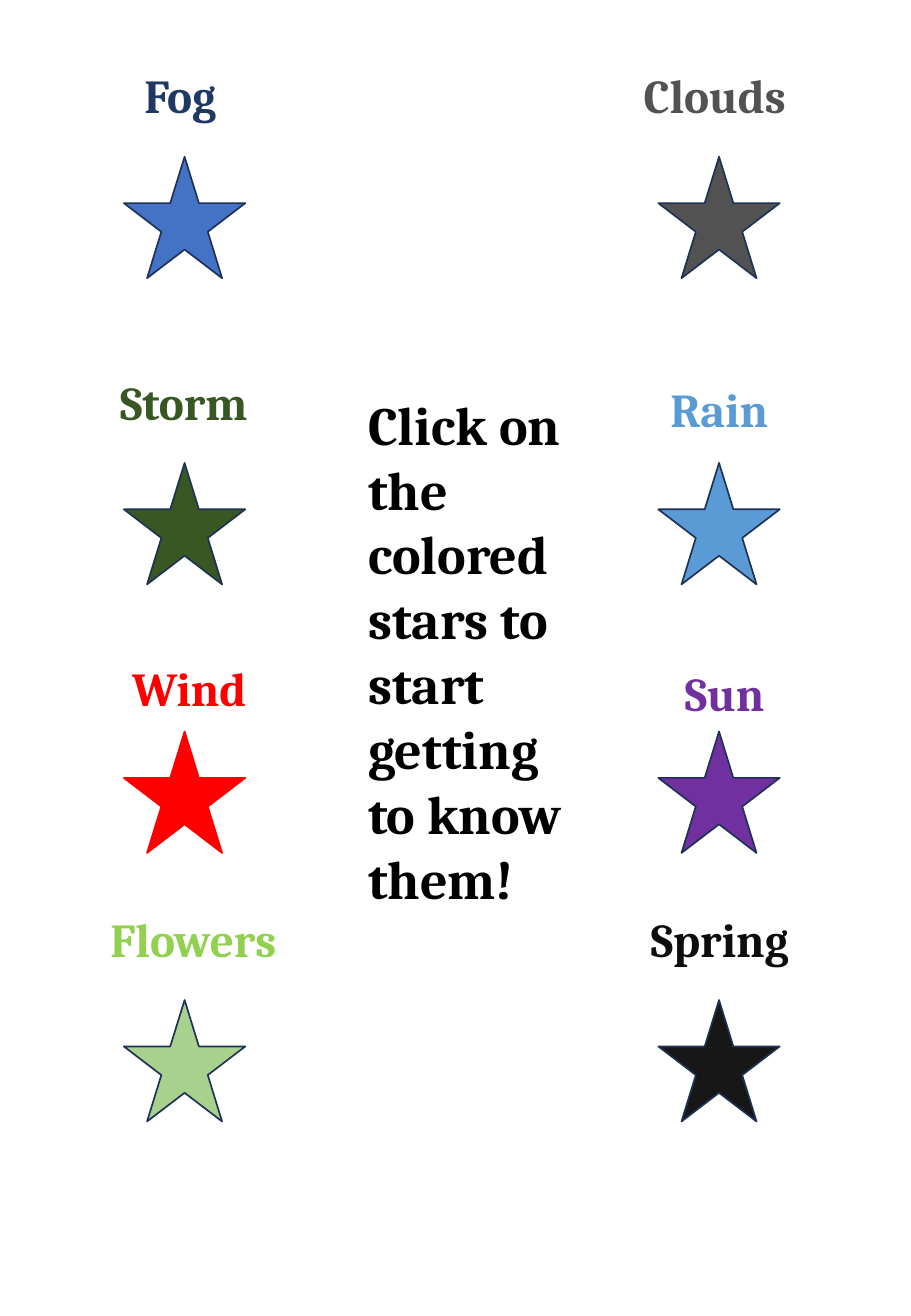
from pptx import Presentation
from pptx import util as u
from pptx.dml.color import RGBColor
from pptx.enum import shapes, text

SLIDE_W, SLIDE_H = 7.5, 10.83
STAR = 1.0
LABEL_W, LABEL_H = 1.8, 0.57
COLUMNS = (1.02, 5.42)
ROWS = (1.29, 3.81, 6.02, 8.23)

COLORS = {
    "navy": "203864", "blue": "4472C4", "gray": "525252", "forest": "385723",
    "sky": "5B9BD5", "red": "FF0000", "purple": "7030A0", "lime": "92D050",
    "leaf": "A9D18E", "ink": "0D0D0D", "coal": "181717", "outline": "1E3256",
    "black": "000000",
}

# Topic, label color, star color, outline, label shift from the star's corner
TOPICS = (
    ("Fog", "navy", "blue", "outline", 0.07, -0.79),
    ("Clouds", "gray", "gray", "outline", -0.22, -0.79),
    ("Storm", "forest", "forest", "outline", -0.13, -0.79),
    ("Rain", "sky", "sky", "outline", 0, -0.73),
    ("Wind", "red", "red", "red", -0.03, -0.64),
    ("Sun", "purple", "purple", "outline", 0.12, -0.6),
    ("Flowers", "lime", "leaf", "outline", -0.21, -0.79),
    ("Spring", "ink", "coal", "outline", -0.16, -0.79),
)


def rgb(name):
    return RGBColor.from_string(COLORS[name])


def write(frame, wording, size, color):
    frame.word_wrap = True
    frame.vertical_anchor = text.MSO_ANCHOR.TOP
    line = frame.paragraphs[0]
    line.text = wording
    line.alignment = text.PP_ALIGN.LEFT
    line.font.name = "Cambria"
    line.font.size = u.Pt(size)
    line.font.bold = True
    line.font.color.rgb = rgb(color)


def add_topic(slide, left, top, topic):
    """Draw one star with its label; left and top are the star's corner."""
    name, label_color, star_color, outline, shift_x, shift_y = topic
    star = slide.shapes.add_shape(
        shapes.MSO_SHAPE.STAR_5_POINT,
        u.Inches(left), u.Inches(top), u.Inches(STAR), u.Inches(STAR))
    star.shadow.inherit = False
    star.fill.solid()
    star.fill.fore_color.rgb = rgb(star_color)
    star.line.color.rgb = rgb(outline)
    star.line.width = u.Pt(1)

    label = slide.shapes.add_textbox(
        u.Inches(left + shift_x), u.Inches(top + shift_y),
        u.Inches(LABEL_W), u.Inches(LABEL_H))
    write(label.text_frame, name, 28, label_color)


def add_invitation(slide, left, top, width, height):
    """Place the central invitation in the title placeholder."""
    invitation = slide.shapes.title
    invitation.left, invitation.top = u.Inches(left), u.Inches(top)
    invitation.width, invitation.height = u.Inches(width), u.Inches(height)
    invitation.text_frame.auto_size = text.MSO_AUTO_SIZE.NONE
    write(invitation.text_frame,
          "Click on the colored stars to start getting \vto know them!",
          32, "black")


def main():
    deck = Presentation()
    deck.slide_width, deck.slide_height = u.Inches(SLIDE_W), u.Inches(SLIDE_H)
    slide = deck.slides.add_slide(deck.slide_layouts[5])

    # Grid of stars, filled row by row
    for index, topic in enumerate(TOPICS):
        row, column = divmod(index, len(COLUMNS))
        add_topic(slide, COLUMNS[column], ROWS[row], topic)

    # Text between the two columns
    add_invitation(slide, 2.93, 3.17, 2.01, 4.41)
    deck.save("out.pptx")


if __name__ == "__main__":
    main()
